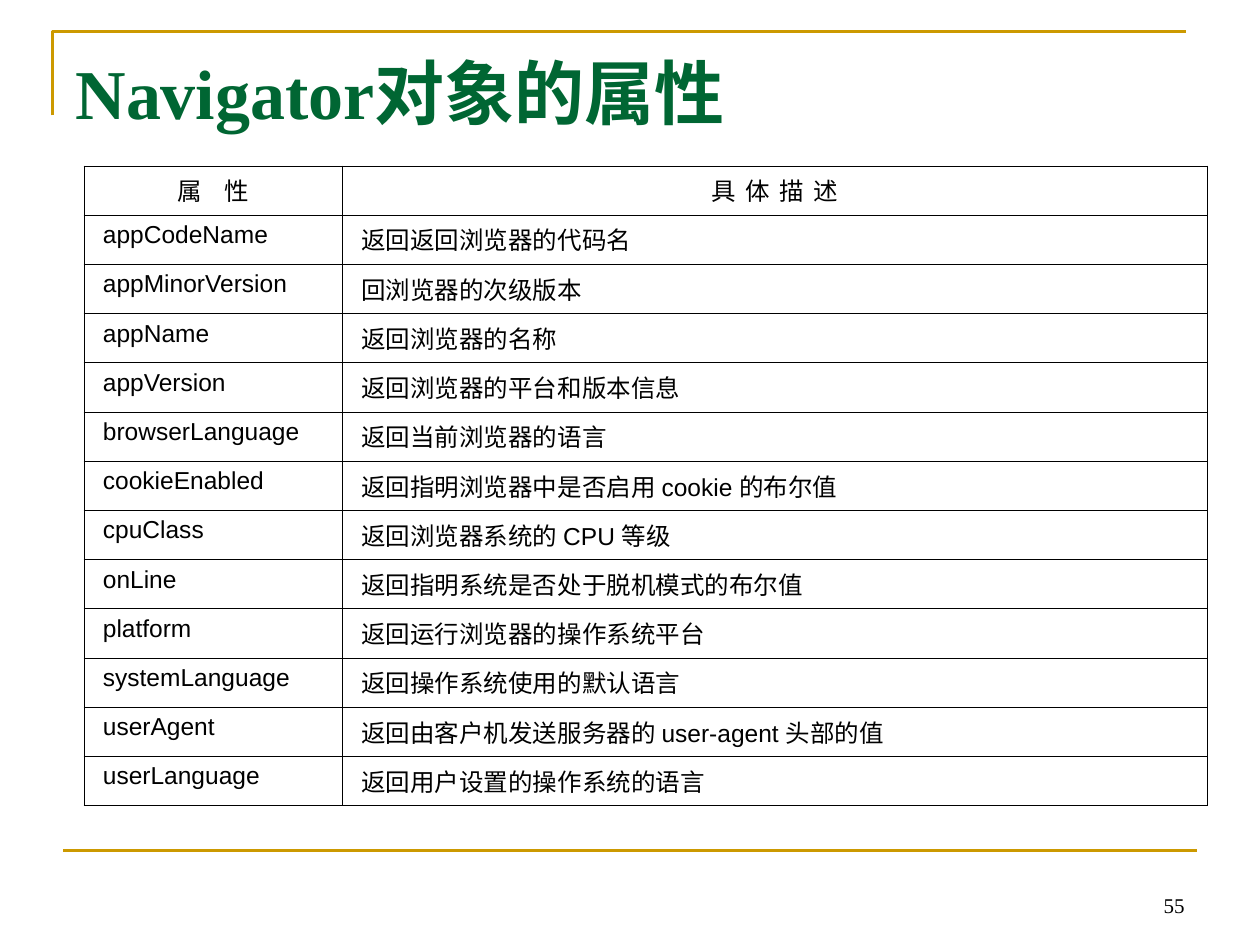
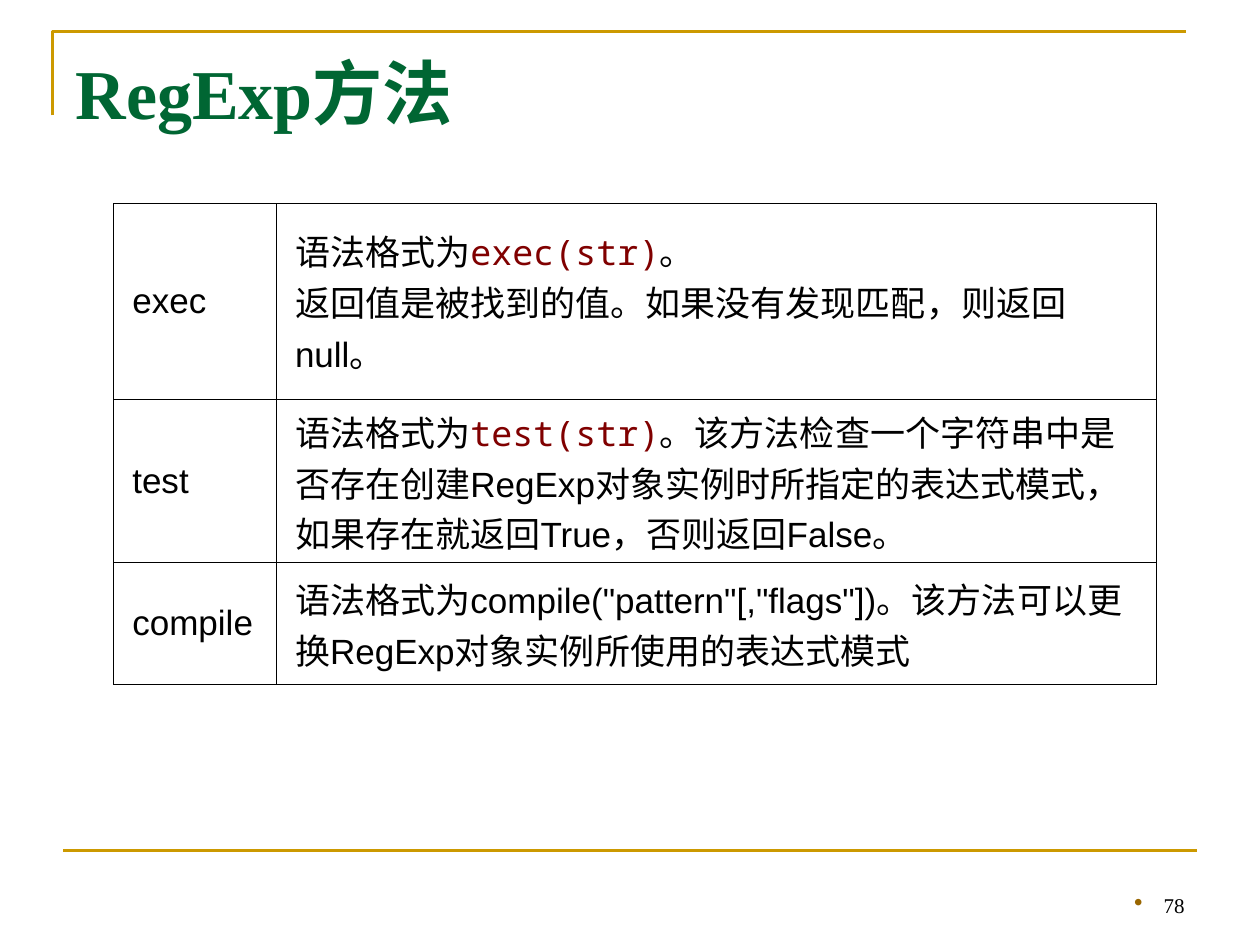
from dataclasses import dataclass

from lxml import etree
from pptx import Presentation
from pptx import util as u
from pptx.dml.color import RGBColor
from pptx.enum import lang, shapes, text
from pptx.oxml import ns


@dataclass(frozen=True)
class Theme:
    gold: str = "CC9900"
    green: str = "006633"
    bullet: str = "996600"
    code: str = "800000"
    ink: str = "000000"
    paper: str = "FFFFFF"
    serif: str = "Times New Roman"
    sans: str = "Arial"
    mono: str = "Noto Sans Mono"
    title_size: float = 40
    property_size: float = 14
    method_size: float = 20
    number_size: float = 12
    rule_width: float = 1.5
    border_width: float = 0.45


THEME = Theme()
COLUMNS, ROWS = 120, 90  # square grid, 12 units to the inch

PROPERTIES = [
    ("appCodeName", "返回返回浏览器的代码名"),
    ("appMinorVersion", "回浏览器的次级版本"),
    ("appName", "返回浏览器的名称"),
    ("appVersion", "返回浏览器的平台和版本信息"),
    ("browserLanguage", "返回当前浏览器的语言"),
    ("cookieEnabled", "返回指明浏览器中是否启用 cookie 的布尔值"),
    ("cpuClass", "返回浏览器系统的 CPU 等级"),
    ("onLine", "返回指明系统是否处于脱机模式的布尔值"),
    ("platform", "返回运行浏览器的操作系统平台"),
    ("systemLanguage", "返回操作系统使用的默认语言"),
    ("userAgent", "返回由客户机发送服务器的 user-agent 头部的值"),
    ("userLanguage", "返回用户设置的操作系统的语言"),
]
HEADINGS = {"属 性": 4.7, "具 体 描 述": 1.2}  # letter spacing in points

# Description pieces: plain, code, plain; "\v" breaks the line
METHODS = [
    ("exec", ["语法格式为", "exec(str)",
              "。\v返回值是被找到的值。如果没有发现匹配，则返回 null。"]),
    ("test", ["语法格式为", "test(str)",
              "。该方法检查一个字符串中是否存在创建RegExp对象实例时所指定的表达式模式，"
              "如果存在就返回True，否则返回False。"]),
    ("compile", ['语法格式为compile("pattern"[,"flags"])。该方法可以更换RegExp'
                 '对象实例所使用的表达式模式']),
]


def units(count):
    return u.Inches(count / 12)


def rgb(value):
    return RGBColor.from_string(value)


def style(span, size, face, color, bold=False):
    font = span.font
    font.size, font.name, font.bold = u.Pt(size), face, bold
    font.color.rgb = rgb(color)
    font.language_id = lang.MSO_LANGUAGE_ID.SIMPLIFIED_CHINESE


def style_rule(rule):
    rule.line.color.rgb = rgb(THEME.gold)
    rule.line.width = u.Pt(THEME.rule_width)


# Shared slide parts
def add_frame(page):
    builder = page.shapes.build_freeform(units(5), units(11))
    builder.add_line_segments(
        [(units(5), units(3)), (units(113), units(3))], close=False)
    corner = builder.convert_to_shape()
    corner.shadow.inherit = False
    corner.fill.background()
    style_rule(corner)

    footer = page.shapes.add_connector(
        shapes.MSO_CONNECTOR.STRAIGHT,
        units(6), units(81), units(114), units(81))
    etree.SubElement(footer._element.spPr, ns.qn("a:effectLst"))
    style_rule(footer)


def set_title(page, words):
    title = page.shapes.title
    title.left, title.top = units(6), units(5)
    title.width, title.height = units(108), units(13.5)
    frame = title.text_frame
    frame.text = words
    frame.auto_size = text.MSO_AUTO_SIZE.NONE
    frame.vertical_anchor = text.MSO_ANCHOR.TOP
    para = frame.paragraphs[0]
    para.alignment = text.PP_ALIGN.LEFT
    para.line_spacing = 0.9
    style(para.runs[0], THEME.title_size, THEME.serif, THEME.green, True)


def add_bullet(para):
    props = para._p.get_or_add_pPr()
    props.set("marL", str(units(2.8)))
    props.set("indent", str(-units(2.8)))
    color = etree.SubElement(props, ns.qn("a:buClr"))
    etree.SubElement(color, ns.qn("a:srgbClr"), val=THEME.bullet)
    etree.SubElement(props, ns.qn("a:buSzPct"), val="120000")
    etree.SubElement(props, ns.qn("a:buChar"), char="•")


def add_page_number(page, number, bulleted):
    box = page.shapes.add_textbox(units(86), units(82), units(28), units(6))
    frame = box.text_frame
    frame.word_wrap = True
    frame.vertical_anchor = text.MSO_ANCHOR.BOTTOM
    frame.text = str(number)
    para = frame.paragraphs[0]
    para.alignment = text.PP_ALIGN.RIGHT
    if bulleted:
        add_bullet(para)
    style(para.runs[0], THEME.number_size, THEME.serif, THEME.ink)


def add_page(deck, title, number, bulleted=False):
    page = deck.slides.add_slide(deck.slide_layouts[5])
    add_frame(page)
    set_title(page, title)
    add_page_number(page, number, bulleted)
    return page


# Tables
def format_cell(cell, anchor):
    props = cell._tc.get_or_add_tcPr()
    for side in ("lnL", "lnR", "lnT", "lnB"):
        border = etree.SubElement(props, ns.qn(f"a:{side}"),
                                  w=str(u.Pt(THEME.border_width)))
        fill = etree.SubElement(border, ns.qn("a:solidFill"))
        etree.SubElement(fill, ns.qn("a:srgbClr"), val=THEME.ink)
    cell.fill.solid()
    cell.fill.fore_color.rgb = rgb(THEME.paper)
    cell.margin_left = cell.margin_right = u.Inches(0.15)
    cell.margin_top = cell.margin_bottom = u.Inches(0.05)
    cell.vertical_anchor = anchor


def add_grid(page, left, top, widths, heights, anchor):
    table = page.shapes.add_table(
        len(heights), len(widths), units(left), units(top),
        units(sum(widths)), units(sum(heights))).table
    for column, width in zip(table.columns, widths):
        column.width = units(width)
    for row, height in zip(table.rows, heights):
        row.height = units(height)
    for cell in table.iter_cells():
        format_cell(cell, anchor)
    return table


def write_cell(cell, words, size, alignment, spacing=0):
    cell.text = words
    para = cell.text_frame.paragraphs[0]
    para.alignment = alignment
    style(para.runs[0], size, THEME.sans, THEME.ink)
    if spacing:
        para.runs[0].font._element.set("spc", str(round(spacing * 100)))
    return para


def write_description(cell, pieces):
    para = cell.text_frame.paragraphs[0]
    para.alignment = text.PP_ALIGN.LEFT
    for index, piece in enumerate(pieces):
        is_code = index % 2 == 1
        for line, words in enumerate(piece.split("\v")):
            if line:
                para.add_line_break()
            span = para.add_run()
            span.text = words
            style(span, THEME.method_size,
                  THEME.mono if is_code else THEME.sans,
                  THEME.code if is_code else THEME.ink)


def add_property_table(page):
    table = add_grid(page, 8, 15.8, (24.6, 82.4),
                     [4.69] * (len(PROPERTIES) + 1), text.MSO_ANCHOR.TOP)
    for column, (heading, spacing) in enumerate(HEADINGS.items()):
        para = write_cell(table.cell(0, column), heading, THEME.property_size,
                          text.PP_ALIGN.CENTER, spacing)
        para.space_after = u.Pt(1.2)
    for row, entry in enumerate(PROPERTIES, 1):
        for column, words in enumerate(entry):
            para = write_cell(table.cell(row, column), words,
                              THEME.property_size, text.PP_ALIGN.JUSTIFY)
            para.space_after = u.Pt(1.2)


def add_method_table(page):
    table = add_grid(page, 10.8, 19.4, (15.5, 83.8), (18.6, 15.6, 11.6),
                     text.MSO_ANCHOR.MIDDLE)
    for row, (method, pieces) in enumerate(METHODS):
        write_cell(table.cell(row, 0), method, THEME.method_size,
                   text.PP_ALIGN.LEFT)
        write_description(table.cell(row, 1), pieces)


def main():
    deck = Presentation()
    deck.slide_width, deck.slide_height = units(COLUMNS), units(ROWS)
    add_property_table(add_page(deck, "Navigator对象的属性", 55))
    add_method_table(add_page(deck, "RegExp方法", 78, bulleted=True))
    deck.save("out.pptx")


if __name__ == "__main__":
    main()
